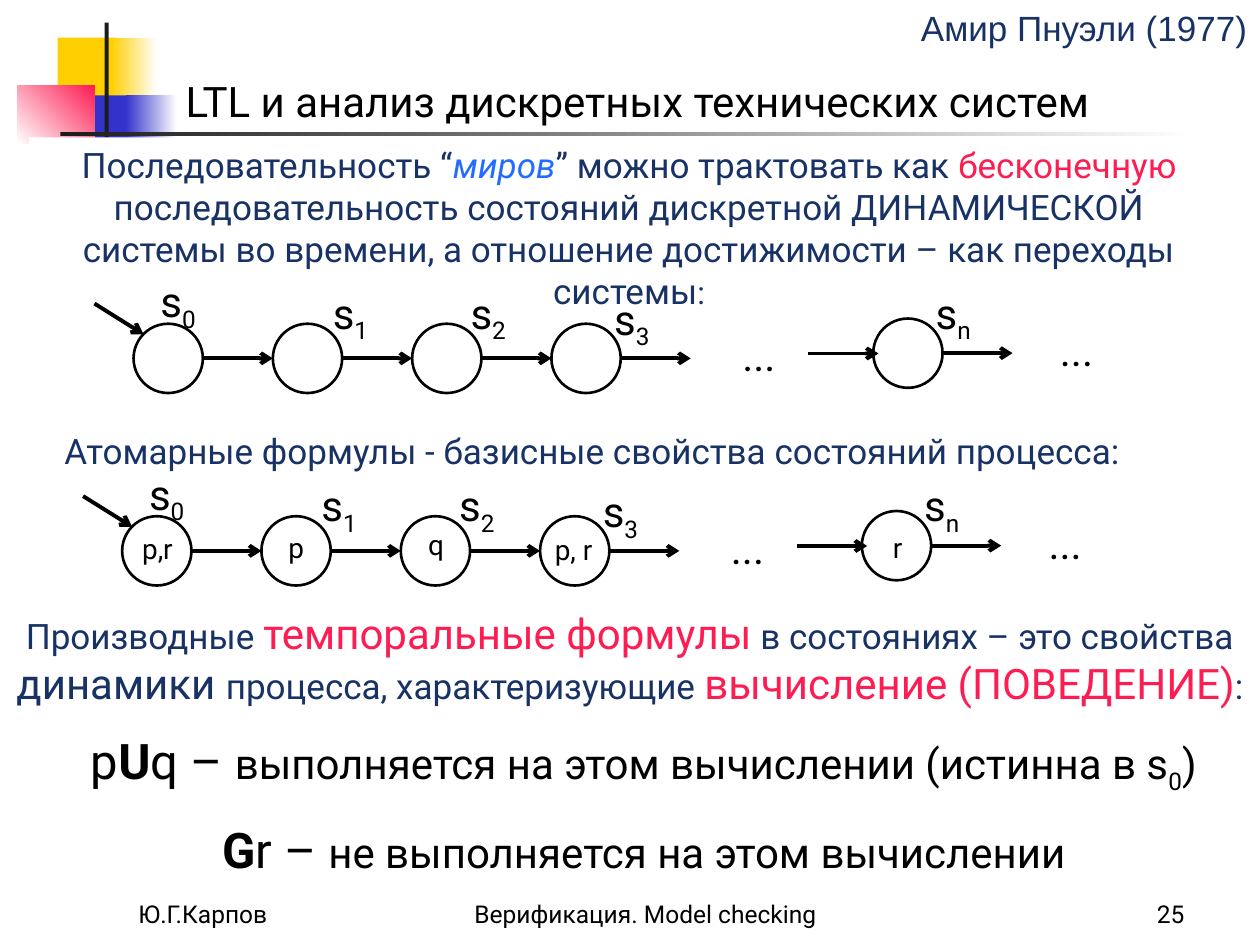
from lxml import etree
from pptx import Presentation
from pptx.dml.color import RGBColor
from pptx.enum.shapes import MSO_CONNECTOR, MSO_SHAPE
from pptx.enum.text import MSO_ANCHOR, PP_ALIGN
from pptx.oxml.ns import qn
from pptx.util import Pt

BLACK, NAVY, BLUE, RED = "000000", "183266", "236CFF", "FC1E53"
WHITE, YELLOW, INDIGO, DARK = "FFFFFF", "FFCF01", "3333CC", "1C1C1C"
FONT = "Roboto"
DIAMETER, STEP = 39.6, 79.6


def rgb(value):
    return RGBColor.from_string(value)


def add_text(slide, box, paragraphs, size, color=BLACK, font=FONT,
             align=PP_ALIGN.CENTER, anchor=MSO_ANCHOR.TOP, gap=0, fill=None):
    """Each paragraph is a list of runs: (text, dict of differing properties)."""
    sp = slide.shapes.add_textbox(*map(Pt, box))
    if fill:
        sp.fill.solid()
        sp.fill.fore_color.rgb = rgb(fill)
    tf = sp.text_frame
    tf.word_wrap = True
    tf.vertical_anchor = anchor
    for i, runs in enumerate(paragraphs):
        p = tf.add_paragraph() if i else tf.paragraphs[0]
        p.alignment = align
        if i:
            p.space_before = Pt(gap)
        p.font.name = font
        p.font.size = Pt(size)
        p.font.color.rgb = rgb(color)
        for text, props in runs:
            r = p.add_run()
            r.text = text
            r.font.name = font
            r.font.size = Pt(props.get("size", size))
            r.font.color.rgb = rgb(props.get("color", color))
            if "bold" in props:
                r.font.bold = props["bold"]
            if "italic" in props:
                r.font.italic = props["italic"]
            if "sub" in props:
                r._r.get_or_add_rPr().set("baseline", "-25000")


def add_arrow(slide, x1, y1, x2, y2):
    line = slide.shapes.add_connector(
        MSO_CONNECTOR.STRAIGHT, Pt(x1), Pt(y1), Pt(x2), Pt(y2))
    line.line.color.rgb = rgb(BLACK)
    line.line.width = Pt(2.25)
    etree.SubElement(line.line._get_or_add_ln(), qn("a:tailEnd"), type="arrow")
    etree.SubElement(line._element.spPr, qn("a:effectLst"))


def add_state(slide, x, y):
    sp = slide.shapes.add_shape(
        MSO_SHAPE.OVAL, Pt(x), Pt(y), Pt(DIAMETER), Pt(DIAMETER))
    sp.shadow.inherit = False
    sp.fill.background()
    sp.line.color.rgb = rgb(BLACK)
    sp.line.width = Pt(1.5)


def add_block(slide, box, start, end=None, angle=0):
    """Plain block, or a gradient one when an end colour is given."""
    sp = slide.shapes.add_shape(MSO_SHAPE.RECTANGLE, *map(Pt, box))
    sp.shadow.inherit = False
    sp.line.fill.background()
    if end is None:
        sp.fill.solid()
        sp.fill.fore_color.rgb = rgb(start)
        return
    sp.fill.gradient()
    sp.fill.gradient_angle = angle
    for stop, color in zip(sp.fill.gradient_stops, (start, end)):
        stop.color.rgb = rgb(color)


def add_decoration(slide, x, y):
    add_block(slide, (x + 23, y + 8.5, 34.5, 37.5), YELLOW)
    add_block(slide, (x + 53.5, y + 8.5, 26, 37.5), YELLOW, WHITE)
    add_block(slide, (x + 32.5, y + 41.5, 33, 37.5), INDIGO)
    add_block(slide, (x + 62, y + 41.5, 29, 37.5), INDIGO, WHITE)
    add_block(slide, (x, y + 36, 44, 33), WHITE, RED, 45)
    add_block(slide, (x + 49.8, y, 2.3, 83), DARK)
    add_block(slide, (x + 24.5, y + 62.5, 648, 2.3), DARK, WHITE)


def add_header(slide):
    add_text(slide, (99, 15, 621, 60.5),
             [[("LTL и анализ дискретных технических систем", {})]], 24,
             align=PP_ALIGN.LEFT, anchor=MSO_ANCHOR.BOTTOM)
    add_text(slide, (516, 0, 207, 31.5), [[("Амир Пнуэли (1977)", {})]], 20,
             NAVY, font="Arial")


def add_chain(slide, x, y):
    """Chain of states s0..s3, ..., sn with its top left corner at x, y."""
    states = [(x + 22.3 + i * STEP, y + 31) for i in range(4)]
    states.append((x + 445, y + 28))
    for left, top in states:
        add_state(slide, left, top)
        right, middle = left + DIAMETER, top + DIAMETER / 2
        add_arrow(slide, right, middle, right + STEP - DIAMETER, middle)
    add_arrow(slide, x + 408, y + 48, x + 448, y + 48)
    add_arrow(slide, x, y + 19.5, x + 28, y + 37)

    labels = [(16.5, 0, "0"), (115, 6.5, "1"), (193.7, 6.5, "2"),
              (275.8, 10, "3"), (459.4, 6.5, "n")]
    for dx, dy, index in labels:
        add_text(slide, (x + dx, y + dy, 62.6, 36.5),
                 [[("s", {}), (index, {"sub": True})]], 24)
    for dx, dy in ((357, 31), (538.5, 28)):
        add_text(slide, (x + dx, y + dy, 45.4, 36.5), [[("...", {})]], 24)


def add_state_formulas(slide, x, y):
    formulas = [(23, 36, 39, "p,r"), (108.7, 35.5, 26, "p"),
                (188.6, 34, 26, "q"), (259, 37, 42.5, "p, r"),
                (452.9, 35.5, 25, "r")]
    for dx, dy, width, text in formulas:
        add_text(slide, (x + dx, y + dy, width, 26.6), [[(text, {})]], 16)


def add_statements(slide):
    add_text(slide, (16.5, 78.5, 686, 80), [[
        ("Последовательность “", {}),
        ("миров", {"color": BLUE, "italic": True}),
        ("” можно трактовать как ", {}),
        ("бесконечную", {"color": RED}),
        (" последовательность состояний дискретной ДИНАМИЧЕСКОЙ системы "
         "во времени, а отношение достижимости – как переходы системы", {}),
        (":", {"size": 18}),
    ]], 20, NAVY, fill=WHITE)
    add_text(slide, (11.5, 242, 654, 31.5), [[
        ("Атомарные формулы - базисные свойства состояний процесса:", {}),
    ]], 20, NAVY)
    add_text(slide, (0, 343.5, 720, 65.5), [[
        ("Производные ", {}),
        ("темпоральные формулы", {"size": 24, "color": RED}),
        (" в состояниях – это свойства ", {}),
        ("динамики ", {"size": 24}),
        ("процесса, характеризующие ", {}),
        ("вычисление (ПОВЕДЕНИЕ)", {"size": 24, "color": RED}),
        (":", {}),
    ]], 20, NAVY)
    add_text(slide, (44.6, 414, 646.6, 92), [
        [("p", {}), ("U", {"bold": True}), ("q – ", {}),
         ("выполняется на этом вычислении (истинна в s", {"size": 24}),
         ("0", {"size": 24, "sub": True}), (")", {"size": 24})],
        [("G", {"bold": True}), ("r – ", {}),
         ("не выполняется на этом вычислении", {"size": 24})],
    ], 28, gap=14)


def add_footer(slide, top, height):
    parts = [(72, 150, "Ю.Г.Карпов", PP_ALIGN.LEFT),
             (264, 228, "Верификация. Model checking", PP_ALIGN.LEFT),
             (534, 150, "25", PP_ALIGN.RIGHT)]
    for left, width, text, align in parts:
        add_text(slide, (left, top, width, height), [[(text, {})]], 14,
                 align=align, anchor=MSO_ANCHOR.BOTTOM)


def main():
    prs = Presentation()
    prs.slide_width, prs.slide_height = Pt(720), Pt(540)
    slide = prs.slides.add_slide(prs.slide_layouts[6])
    add_decoration(slide, 10, 13)
    add_footer(slide, 498, 36)
    add_header(slide)
    add_statements(slide)
    add_chain(slide, 54, 154)
    add_chain(slide, 47.5, 264)
    add_state_formulas(slide, 47.5, 264)
    prs.save("out.pptx")


if __name__ == "__main__":
    main()
